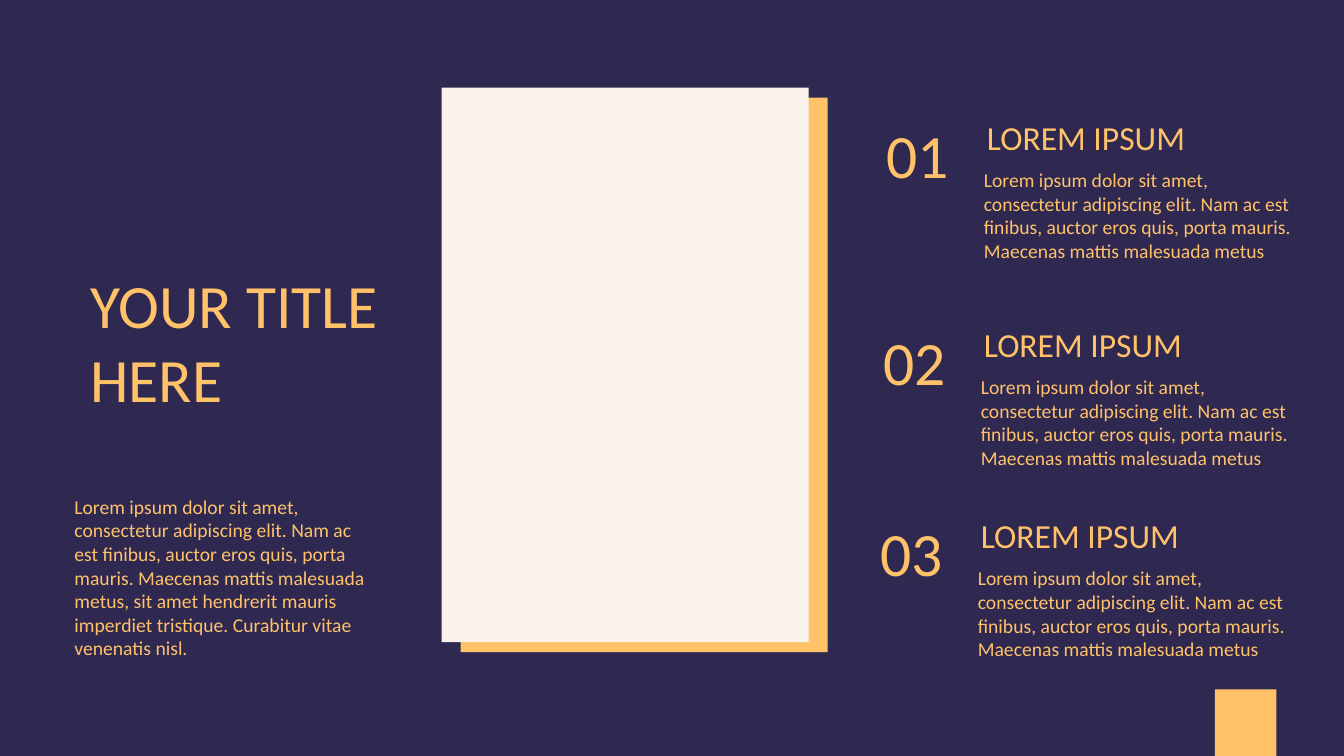
from pptx import Presentation
from pptx.dml.color import RGBColor
from pptx.enum import shapes, text
from pptx.util import Inches, Pt

# Content
TITLE = "YOUR TITLE HERE"
INTRO = (
    "Lorem ipsum dolor sit amet, consectetur adipiscing elit. Nam ac est finibus, "
    "auctor eros quis, porta mauris. Maecenas mattis malesuada metus, sit amet "
    "hendrerit mauris imperdiet tristique. Curabitur vitae venenatis nisl."
)
ITEM_BODY = (
    "Lorem ipsum dolor sit amet, consectetur adipiscing elit. Nam ac est finibus, "
    "auctor eros quis, porta mauris. Maecenas mattis malesuada metus"
)
ITEMS = [  # number, heading, body, top
    ("01", "LOREM IPSUM", ITEM_BODY, 1.11),
    ("02", "LOREM IPSUM", ITEM_BODY, 3.16),
    ("03", "LOREM IPSUM", ITEM_BODY, 5.06),
]

THEME = {
    "font": "Calibri",
    "navy": RGBColor(0x2F, 0x28, 0x51),
    "amber": RGBColor(0xFF, 0xC2, 0x69),
    "cream": RGBColor(0xFA, 0xF3, 0xEB),
    "display": Pt(44),
    "heading": Pt(24),
    "body": Pt(14),
}

# Layout in inches
ITEM_LEFT, ITEM_SHIFT = 8.69, -0.03
HEADING_OFFSET, BODY_OFFSET, BODY_DROP = 1.0, 0.97, 0.51
PANEL_LEFT, PANEL_TOP, PANEL_WIDTH, PANEL_HEIGHT = 4.38, 0.87, 3.64, 5.5
PANEL_OFFSETS = [("amber", 0.19, 0.1), ("cream", 0, 0)]


def add_block(page, color, left, top, width, height):
    block = page.shapes.add_shape(
        shapes.MSO_SHAPE.RECTANGLE,
        Inches(left), Inches(top), Inches(width), Inches(height))
    block.shadow.inherit = False
    block.fill.solid()
    block.fill.fore_color.rgb = THEME[color]
    block.line.fill.background()


def add_label(page, words, size, left, top, width, height, wrap=True):
    box = page.shapes.add_textbox(
        Inches(left), Inches(top), Inches(width), Inches(height))
    frame = box.text_frame
    frame.text = words
    frame.word_wrap = wrap
    frame.auto_size = text.MSO_AUTO_SIZE.SHAPE_TO_FIT_TEXT
    font = frame.paragraphs[0].runs[0].font
    font.name = THEME["font"]
    font.size = THEME[size]
    font.color.rgb = THEME["amber"]


def main():
    deck = Presentation()
    deck.slide_width, deck.slide_height = Inches(13.33), Inches(7.5)
    page = deck.slides.add_slide(deck.slide_layouts[6])
    page.background.fill.solid()
    page.background.fill.fore_color.rgb = THEME["navy"]

    # Centre panel with its offset backing
    for color, right, down in PANEL_OFFSETS:
        add_block(page, color, PANEL_LEFT + right, PANEL_TOP + down,
                  PANEL_WIDTH, PANEL_HEIGHT)

    # Title and introduction
    add_label(page, INTRO, "body", 0.64, 4.86, 3.16, 1.75)
    add_label(page, TITLE, "display", 0.8, 2.6, 3.7, 2.32)

    # Numbered items, each stepping slightly left
    for index, (number, heading, body, top) in enumerate(ITEMS):
        left = ITEM_LEFT + index * ITEM_SHIFT
        add_label(page, number, "display", left, top, 1.26, 0.84)
        add_label(page, heading, "heading", left + HEADING_OFFSET, top,
                  2.59, 0.5, wrap=False)
        add_label(page, body, "body", left + BODY_OFFSET, top + BODY_DROP,
                  3.26, 1.04)

    # Corner accent
    add_block(page, "amber", 12.05, 6.84, 0.61, 0.66)

    deck.save("out.pptx")


if __name__ == "__main__":
    main()
